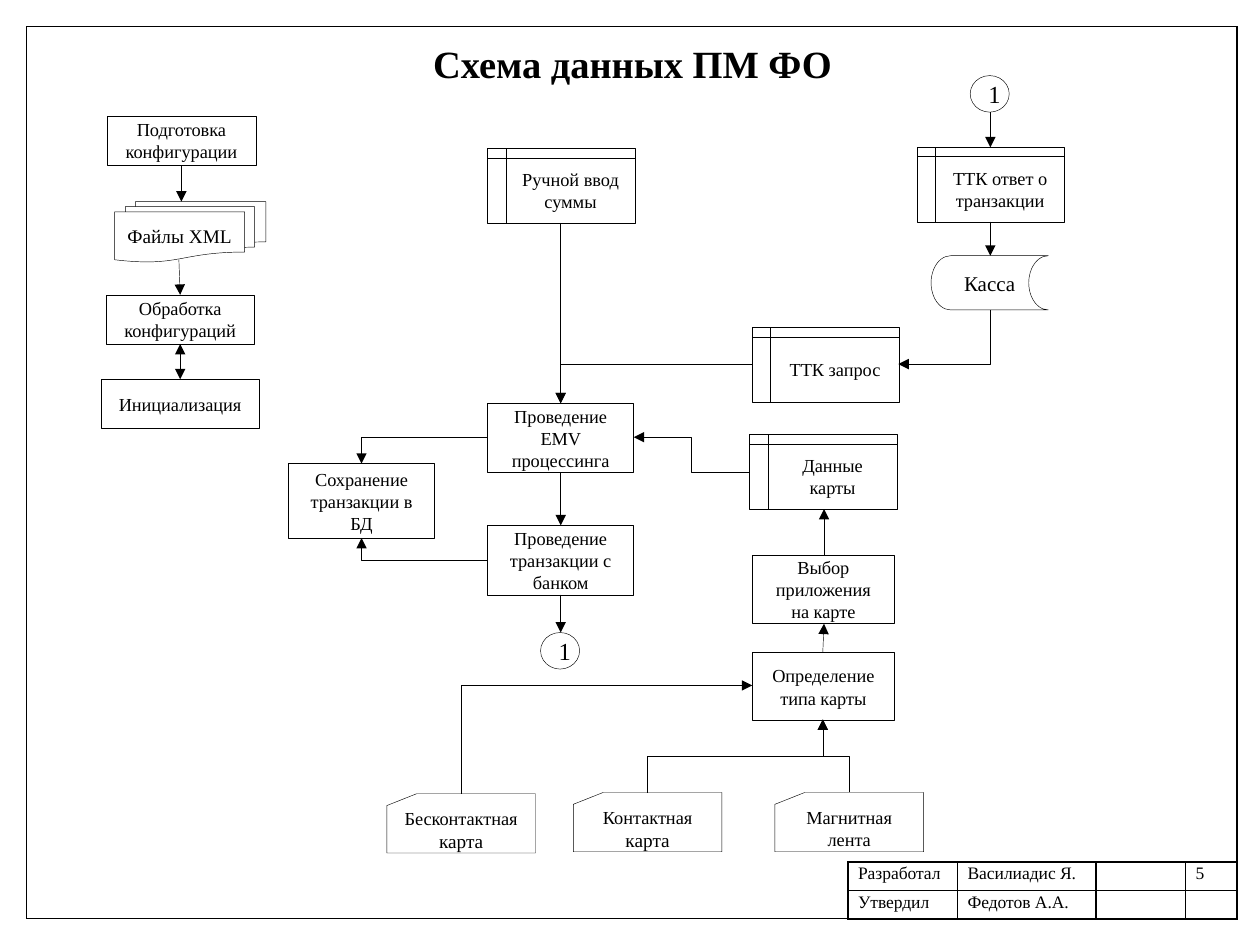
from lxml.etree import SubElement
from pptx import Presentation
from pptx.dml.color import RGBColor
from pptx.enum.shapes import MSO_CONNECTOR as Conn, MSO_SHAPE as Shp
from pptx.enum.text import MSO_ANCHOR, PP_ALIGN
from pptx.oxml.ns import qn
from pptx.util import Inches, Pt

BLACK = RGBColor(0, 0, 0)
WHITE = RGBColor(255, 255, 255)
FONT = "Times New Roman"

TITLE = "Схема данных ПМ ФО"
FRAME = (0.21, 0.21, 9.82, 7.29)
PROCESS, STORAGE = Shp.FLOWCHART_PROCESS, Shp.FLOWCHART_INTERNAL_STORAGE
CARD, CIRCLE = Shp.FLOWCHART_CARD, Shp.FLOWCHART_CONNECTOR
FILES, DATA = Shp.FLOWCHART_MULTIDOCUMENT, Shp.FLOWCHART_STORED_DATA

NODES = [
    (PROCESS, 0.85, 0.92, 1.18, 0.39, [[("Подготовка конфигурации", 10.5)]]),
    (FILES, 0.91, 1.6, 1.2, 0.48, [[("Файлы XML", 11)]]),
    (PROCESS, 0.84, 2.34, 1.18, 0.39, [[("Обработка конфигураций", 10.5)]]),
    (PROCESS, 0.8, 3.01, 1.26, 0.39, [[("Инициализация", 10.5)]]),
    (STORAGE, 3.87, 1.18, 1.17, 0.59, [[("Ручной ввод суммы", 10.5)]]),
    (PROCESS, 3.87, 3.2, 1.16, 0.55, [[("Проведение", 10.5)], [("EMV процессинга", 10.5)]]),
    (PROCESS, 2.29, 3.68, 1.16, 0.59, [[("Сохранение транзакции в БД", 10.5)]]),
    (PROCESS, 3.87, 4.17, 1.16, 0.55, [[("Проведение транзакции с банком", 10.5)]]),
    (CIRCLE, 4.29, 5.02, 0.31, 0.29, [[("1", 14)]]),
    (CIRCLE, 7.7, 0.6, 0.31, 0.29, [[("1", 14)]]),
    (STORAGE, 7.28, 1.17, 1.17, 0.59, [[("ТТК ответ о транзакции", 10.5)]]),
    (DATA, 7.39, 2.03, 0.93, 0.43, [[("Касса", 12)]]),
    (STORAGE, 5.97, 2.6, 1.17, 0.59, [[("ТТК запрос", 10.5)]]),
    (STORAGE, 5.95, 3.45, 1.17, 0.59, [[("Данные карты", 10.5)]]),
    (PROCESS, 5.97, 4.41, 1.13, 0.54, [[("Выбор приложения", 10.5)], [("на карте", 10.5)]]),
    (PROCESS, 5.97, 5.18, 1.13, 0.54, [[("Определение типа карты", 10.5)]]),
    (CARD, 3.07, 6.3, 1.18, 0.47, [[("Бесконтактная", 10.5), (" карта", 11)]]),
    (CARD, 4.55, 6.29, 1.18, 0.47, [[("Контактная", 10.5), (" карта", 11)]]),
    (CARD, 6.15, 6.29, 1.18, 0.47, [[("Магнитная лента", 10.5)]]),
]

ARROWS = [
    (1.44, 1.31, 1.44, 1.6), (1.42, 2.06, 1.43, 2.34),
    (4.45, 1.77, 4.45, 3.2), (4.45, 3.75, 4.45, 4.17), (4.45, 4.72, 4.45, 5.02),
    (6.53, 5.18, 6.54, 4.95), (6.54, 4.41, 6.54, 4.04),
    (7.86, 0.89, 7.86, 1.17), (7.86, 1.76, 7.86, 2.03),
]
TWO_WAY = (1.43, 2.73, 1.43, 3.01)

ELBOWS = [
    (6.74, 6.29, 6.53, 5.71, "down", 3),
    (5.14, 6.29, 6.53, 5.71, "down", 3),
    (3.66, 6.3, 5.97, 5.44, "down", 2),
    (7.86, 2.46, 7.13, 2.89, "down", 2),
    (5.97, 2.89, 4.45, 3.2, "across", 2),
    (3.87, 4.45, 2.87, 4.27, "across", 2),
    (3.87, 3.47, 2.87, 3.68, "across", 2),
    (5.95, 3.75, 5.03, 3.47, "across", 3),
]

STAMP = [["Разработал", "Василиадис Я.", "", "5"], ["Утвердил", "Федотов А.А.", "", ""]]
STAMP_COLS = [0.87, 1.1, 0.71, 0.41]
STAMP_AT = (6.73, 6.84, 3.09, 0.45)


def style(r, size, bold=False):
    r.font.size, r.font.name, r.font.bold = Pt(size), FONT, bold
    r.font.color.rgb = BLACK


def connect(kind, x1, y1, x2, y2, width=0.25, ends=("tailEnd",)):
    c = s.shapes.add_connector(kind, *map(Inches, (x1, y1, x2, y2)))
    c.line.color.rgb, c.line.width = BLACK, Pt(width)
    for end in ends:
        SubElement(c.line._get_or_add_ln(), qn("a:" + end), type="triangle")
    SubElement(c._element.spPr, qn("a:effectLst"))
    return c


def elbow(x1, y1, x2, y2, leave, bends):
    dx, dy = x2 - x1, y2 - y1
    turn = 0
    if leave == "down":
        turn = 90 if dy > 0 else 270
        cx, cy = (x1 + x2) / 2, (y1 + y2) / 2
        half_w = abs(dy) / 2
        half_h = -dx / 2 if dy > 0 else dx / 2
        x1, y1, x2, y2 = cx - half_w, cy - half_h, cx + half_w, cy + half_h
    c = connect(Conn.ELBOW, x1, y1, x2, y2)
    c._element.spPr.find(qn("a:prstGeom")).set("prst", f"bentConnector{bends}")
    if turn:
        c._element.spPr.find(qn("a:xfrm")).set("rot", str(turn * 60000))


def border(cell):
    tcPr = cell._tc.get_or_add_tcPr()
    for i, side in enumerate(("lnL", "lnR", "lnT", "lnB")):
        ln = tcPr.makeelement(qn("a:" + side), {"w": str(Pt(1))})
        fill = SubElement(ln, qn("a:solidFill"))
        SubElement(fill, qn("a:srgbClr"), val=str(BLACK))
        tcPr.insert(i, ln)


prs = Presentation()
prs.slide_width, prs.slide_height = Inches(10), Inches(7.5)
s = prs.slides.add_slide(prs.slide_layouts[6])

tf = s.shapes.add_textbox(*map(Inches, (2.99, 0.27, 4.06, 0.84))).text_frame
tf.word_wrap = True
tf.text = TITLE
tf.paragraphs[0].alignment = PP_ALIGN.CENTER
style(tf.paragraphs[0].runs[0], 22, True)

left, top, right, bottom = FRAME
for x in (left, right):
    connect(Conn.STRAIGHT, x, top, x, bottom, 1, ())
for y in (top, bottom):
    connect(Conn.STRAIGHT, left, y, right, y, 1, ())

table = s.shapes.add_table(2, 4, *map(Inches, STAMP_AT)).table
table.first_row = table.horz_banding = False
for col, width in zip(table.columns, STAMP_COLS):
    col.width = Inches(width)
for i, row in enumerate(STAMP):
    for j, text in enumerate(row):
        cell = table.cell(i, j)
        cell.margin_left = cell.margin_right = Inches(0.08)
        cell.margin_top, cell.margin_bottom = Inches(0.02), Inches(0.04)
        cell.fill.background()
        border(cell)
        p = cell.text_frame.paragraphs[0]
        if text:
            p.text = text
            style(p.runs[0], 10)
        else:
            SubElement(p._p, qn("a:endParaRPr"), sz="1000")

for kind, x, y, w, h, paragraphs in NODES:
    sp = s.shapes.add_shape(kind, *map(Inches, (x, y, w, h)))
    sp.shadow.inherit = False
    sp.fill.solid()
    sp.fill.fore_color.rgb = WHITE
    sp.line.color.rgb, sp.line.width = BLACK, Pt(0.25)
    tf = sp.text_frame
    tf.word_wrap, tf.vertical_anchor = True, MSO_ANCHOR.MIDDLE
    for i, runs in enumerate(paragraphs):
        p = tf.add_paragraph() if i else tf.paragraphs[0]
        p.alignment = PP_ALIGN.CENTER
        for text, size in runs:
            r = p.add_run()
            r.text = text
            style(r, size)

for arrow in ARROWS:
    connect(Conn.STRAIGHT, *arrow)
connect(Conn.STRAIGHT, *TWO_WAY, ends=("headEnd", "tailEnd"))
for bent in ELBOWS:
    elbow(*bent)

prs.save("out.pptx")
